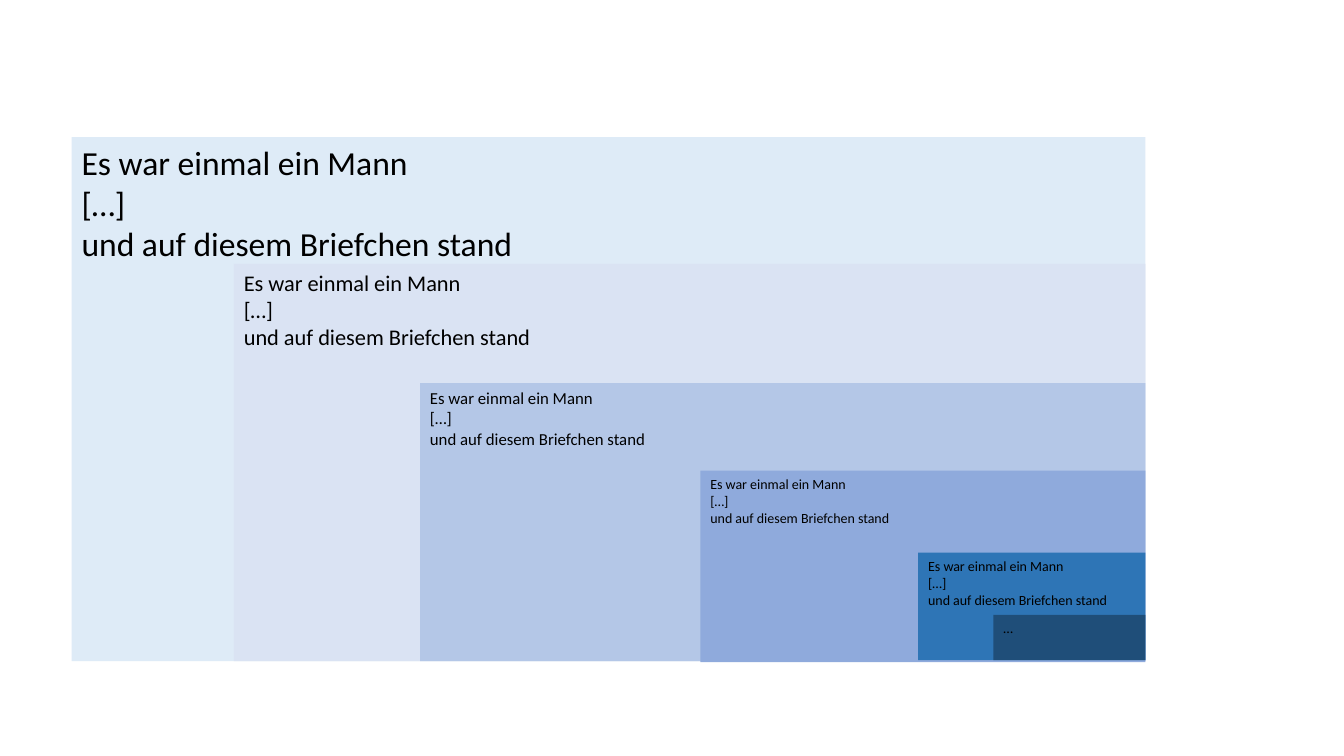
from dataclasses import dataclass

from pptx import Presentation
from pptx.dml.color import RGBColor
from pptx.enum.shapes import MSO_SHAPE
from pptx.enum.text import MSO_ANCHOR, PP_ALIGN
from pptx.util import Pt

RECT = MSO_SHAPE.RECTANGLE
TOP = MSO_ANCHOR.TOP
LEFT = PP_ALIGN.LEFT


@dataclass(frozen=True)
class Theme:
    font: str = "Calibri"
    text: str = "000000"
    fills: tuple = ("DEEBF7", "DAE3F3", "B4C7E7", "8FAADC", "2E75B6", "1F4E79")
    sizes: tuple = (24, 16, 12, 10, 10, 10)
    inset_x: float = 7.2
    inset_y: float = 3.6


class Deck:
    def __init__(self, theme, width, height):
        self.theme = theme
        self.prs = Presentation()
        self.prs.slide_width, self.prs.slide_height = Pt(width), Pt(height)
        self.s = None

    def add_slide(self):
        self.s = self.prs.slides.add_slide(self.prs.slide_layouts[6])

    def panel(self, left, top, right, bottom, fill, size, lines):
        """Filled rectangle with one paragraph per line, set at its top left."""
        t = self.theme
        sp = self.s.shapes.add_shape(
            RECT, Pt(left), Pt(top), Pt(right - left), Pt(bottom - top))
        sp.shadow.inherit = False
        sp.fill.solid()
        sp.fill.fore_color.rgb = RGBColor.from_string(fill)
        sp.line.fill.background()

        tf = sp.text_frame
        tf.word_wrap = True
        tf.vertical_anchor = TOP
        tf.margin_left = tf.margin_right = Pt(t.inset_x)
        tf.margin_top = tf.margin_bottom = Pt(t.inset_y)
        tf.text = "\n".join(lines)
        for p in tf.paragraphs:
            p.alignment = LEFT
            p.font.name = t.font
            p.font.size = Pt(size)
            p.font.color.rgb = RGBColor.from_string(t.text)


# Story that contains itself, and the last level that only hints at it
STORY = ("Es war einmal ein Mann", "[…]", "und auf diesem Briefchen stand")
HINT = ("…",)

# Left, top and bottom of each level; all share one right edge
RIGHT = 818.6
LEVELS = (
    (51.2, 98, 472.3, STORY),
    (167.2, 188.6, 472.3, STORY),
    (300.2, 273.6, 472.3, STORY),
    (500.6, 336.2, 473, STORY),
    (656.2, 394.8, 471.6, STORY),
    (710, 439.2, 471.6, HINT),
)


def main():
    theme = Theme()
    deck = Deck(theme, 960.48, 540)
    deck.add_slide()

    # Nested panels, outermost first
    for (left, top, bottom, lines), fill, size in zip(LEVELS, theme.fills, theme.sizes):
        deck.panel(left, top, RIGHT, bottom, fill, size, lines)

    deck.prs.save("out.pptx")


if __name__ == "__main__":
    main()
